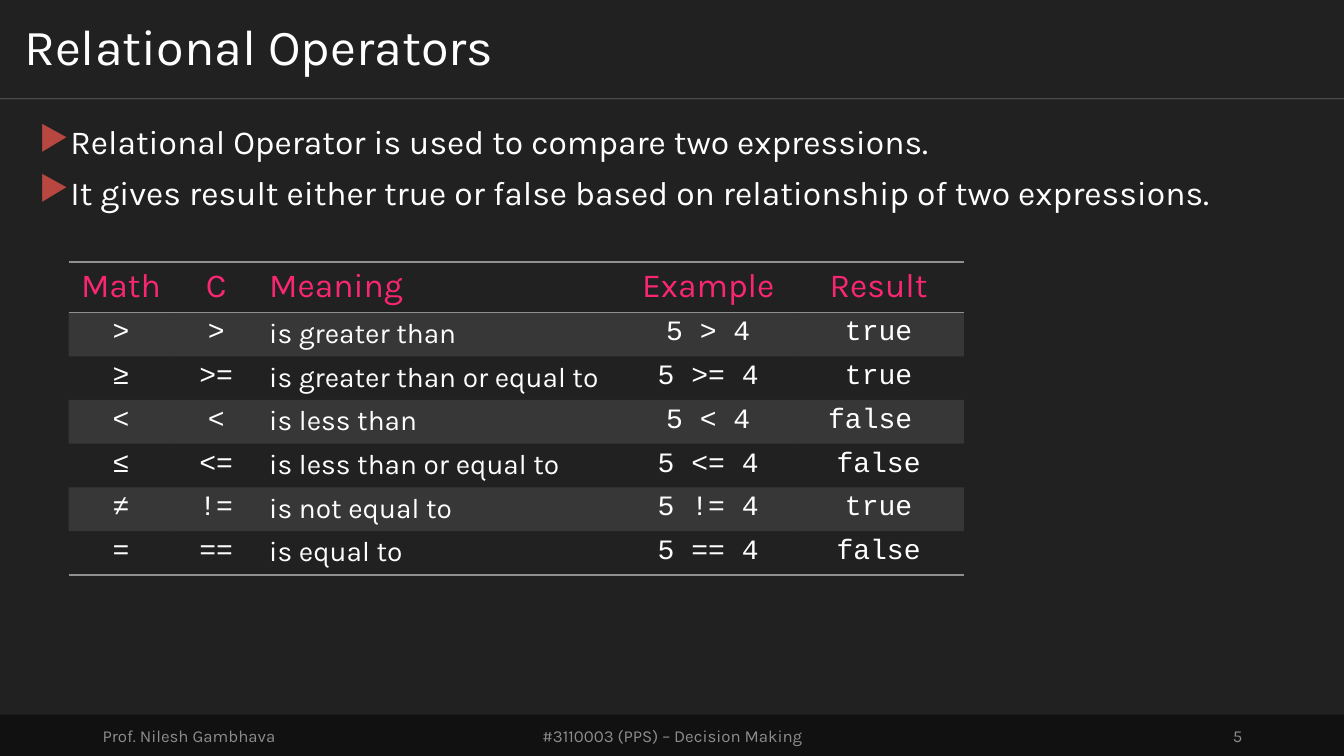
from dataclasses import dataclass

from lxml.etree import SubElement
from pptx import Presentation
from pptx.dml.color import RGBColor
from pptx.enum.shapes import MSO_CONNECTOR as Connector, MSO_SHAPE as Preset
from pptx.enum.text import MSO_ANCHOR as Anchor, PP_ALIGN as Align
from pptx.oxml.ns import qn
from pptx.slide import Slide
from pptx.table import _Cell as Cell
from pptx.text.text import _Paragraph as Paragraph
from pptx.util import Inches, Pt

WHITE = RGBColor(0xFF, 0xFF, 0xFF)
BACKGROUND = RGBColor(0x21, 0x21, 0x21)
FOOTER_BAR = RGBColor(0x11, 0x11, 0x11)
FOOTER_TEXT = RGBColor(0x8D, 0x8D, 0x8D)
PINK = RGBColor(0xF9, 0x26, 0x72)
RED = RGBColor(0xB8, 0x47, 0x42)
GRAY = RGBColor(0x90, 0x90, 0x90)

SANS = "Karla"
MONO = "Courier New"
WIDTH, HEIGHT = 13.33, 7.5
TITLE_HEIGHT = 0.98
FOOTER_TOP = 7.09
ROW_HEIGHT = 0.41
NO_STYLE = "{2D5ABB26-0587-4C30-8999-92F81FD0307C}"


@dataclass(frozen=True)
class Box:
    left: float
    top: float
    width: float
    height: float


@dataclass(frozen=True)
class Footer:
    text: str
    box: Box
    align: Align


@dataclass(frozen=True)
class Column:
    heading: str
    width: float
    align: Align
    font: str
    values: tuple[str, ...]


FOOTERS = (
    Footer("Prof. Nilesh Gambhava", Box(0.92, 7.1, 3, 0.4), Align.LEFT),
    Footer("#3110003 (PPS) – Decision Making", Box(4.42, 7.1, 4.5, 0.4), Align.CENTER),
    Footer("5", Box(9.42, 7.1, 3, 0.4), Align.RIGHT),
)
POINTS = (
    "Relational Operator is used to compare two expressions.",
    "It gives result either true or false based on relationship of two expressions.",
)
COLUMNS = (
    Column("Math", 1.04, Align.CENTER, MONO, (">", "≥", "<", "≤", "≠", "=")),
    Column("C", 0.85, Align.CENTER, MONO, (">", ">=", "<", "<=", "!=", "==")),
    Column("Meaning", 3.61, Align.LEFT, SANS, (
        "is greater than", "is greater than or equal to", "is less than",
        "is less than or equal to", "is not equal to", "is equal to")),
    Column("Example", 1.69, Align.CENTER, MONO, (
        "5 > 4", "5 >= 4", "5 < 4", "5 <= 4", "5 != 4", "5 == 4")),
    Column("Result", 1.69, Align.CENTER, MONO, (
        "true", "true", "false ", "false", "true", "false")),
)


def place(box: Box) -> tuple[int, ...]:
    return tuple(Inches(n) for n in (box.left, box.top, box.width, box.height))


def write(paragraph: Paragraph, text: str, size: int, color: RGBColor,
          font: str = SANS, align: Align = Align.LEFT) -> None:
    paragraph.text = text
    paragraph.alignment = align
    paragraph.font.name = font
    paragraph.font.size = Pt(size)
    paragraph.font.color.rgb = color


def set_opacity(solid_fill, percent: int) -> None:
    SubElement(solid_fill[0], qn("a:alpha"), val=str(percent * 1000))


def add_rectangle(slide: Slide, box: Box, color: RGBColor) -> None:
    shape = slide.shapes.add_shape(Preset.RECTANGLE, *place(box))
    shape.shadow.inherit = False
    shape.fill.solid()
    shape.fill.fore_color.rgb = color
    shape.line.fill.background()


def add_rule(slide: Slide) -> None:
    rule = slide.shapes.add_connector(
        Connector.STRAIGHT, 0, Inches(TITLE_HEIGHT), Inches(WIDTH), Inches(TITLE_HEIGHT))
    rule.line.width = Pt(0.5)
    rule.line.color.rgb = WHITE
    set_opacity(next(rule.element.iter(qn("a:solidFill"))), 30)
    SubElement(rule.element.spPr, qn("a:effectLst"))


def add_frame(slide: Slide, box: Box, anchor: Anchor):
    frame = slide.shapes.add_textbox(*place(box)).text_frame
    frame.word_wrap = True
    frame.vertical_anchor = anchor
    return frame


def add_title(slide: Slide) -> None:
    frame = add_frame(slide, Box(0, 0, WIDTH, TITLE_HEIGHT), Anchor.MIDDLE)
    frame.margin_left = frame.margin_right = Inches(0.24)
    frame.margin_top = frame.margin_bottom = Inches(0.12)
    frame.paragraphs[0].line_spacing = 0.9
    write(frame.paragraphs[0], "Relational Operators", 36, WHITE)


def add_points(slide: Slide) -> None:
    frame = add_frame(slide, Box(0.29, 1.2, 12.76, 5.71), Anchor.TOP)
    for index, text in enumerate(POINTS):
        paragraph = frame.add_paragraph() if index else frame.paragraphs[0]
        properties = paragraph._p.get_or_add_pPr()
        properties.set("marL", str(Inches(0.29)))
        properties.set("indent", str(-Inches(0.29)))
        bullet_color = SubElement(properties, qn("a:buClr"))
        SubElement(bullet_color, qn("a:srgbClr"), val=str(RED))
        SubElement(properties, qn("a:buChar"), char="▶")
        paragraph.line_spacing = 0.9
        if index:
            paragraph.space_before = Pt(10)
        write(paragraph, text, 24, WHITE)


def add_border(cell: Cell, side: str) -> None:
    border = SubElement(cell._tc.get_or_add_tcPr(), qn(f"a:{side}"), w=str(Pt(1)))
    fill = SubElement(border, qn("a:solidFill"))
    SubElement(fill, qn("a:srgbClr"), val=str(GRAY))


def fill_cell(cell: Cell, shaded: bool) -> None:
    if shaded:
        cell.fill.solid()
        cell.fill.fore_color.rgb = GRAY
        set_opacity(cell._tc.tcPr.find(qn("a:solidFill")), 20)
    else:
        cell.fill.background()


def add_operator_table(slide: Slide) -> None:
    row_count = len(COLUMNS[0].values) + 1
    box = Box(0.68, 2.6, sum(column.width for column in COLUMNS), ROW_HEIGHT * row_count)
    graphic = slide.shapes.add_table(row_count, len(COLUMNS), *place(box))
    next(graphic.element.iter(qn("a:tableStyleId"))).text = NO_STYLE
    table = graphic.table
    table.first_row = table.horz_banding = False
    for row in table.rows:
        row.height = Inches(ROW_HEIGHT)
    for column_index, column in enumerate(COLUMNS):
        table.columns[column_index].width = Inches(column.width)
        for row_index, text in enumerate((column.heading, *column.values)):
            cell = table.cell(row_index, column_index)
            heading = row_index == 0
            if heading:
                add_border(cell, "lnT")
            if heading or row_index == row_count - 1:
                add_border(cell, "lnB")
            fill_cell(cell, row_index % 2 == 1)
            write(cell.text_frame.paragraphs[0], text, 24 if heading else 20,
                  PINK if heading else WHITE, SANS if heading else column.font, column.align)


def main() -> None:
    presentation = Presentation()
    presentation.slide_width = Inches(WIDTH)
    presentation.slide_height = Inches(HEIGHT)
    slide = presentation.slides.add_slide(presentation.slide_layouts[6])
    add_rectangle(slide, Box(0, 0, WIDTH, HEIGHT), BACKGROUND)
    add_rule(slide)
    add_rectangle(slide, Box(0, FOOTER_TOP, WIDTH, HEIGHT - FOOTER_TOP), FOOTER_BAR)
    for footer in FOOTERS:
        frame = add_frame(slide, footer.box, Anchor.MIDDLE)
        write(frame.paragraphs[0], footer.text, 12, FOOTER_TEXT, align=footer.align)
    add_title(slide)
    add_points(slide)
    add_operator_table(slide)
    presentation.save("out.pptx")


if __name__ == "__main__":
    main()
